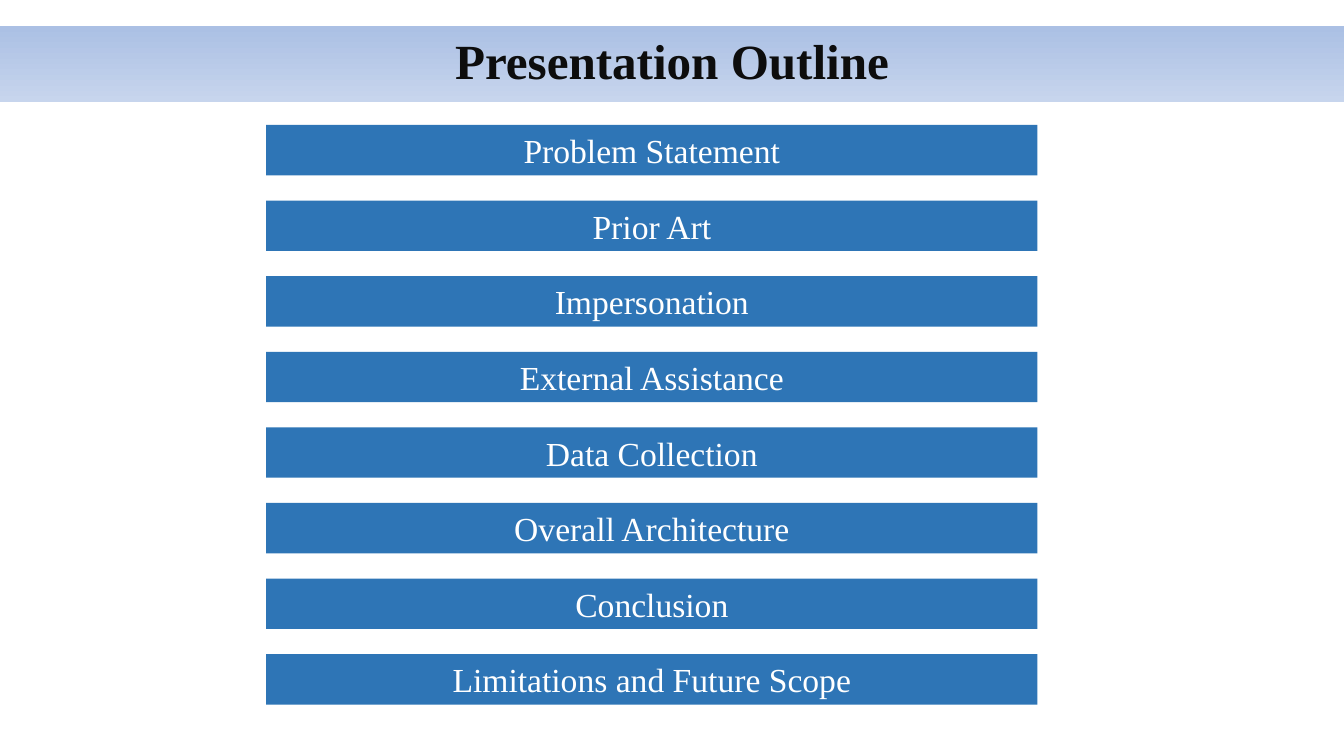
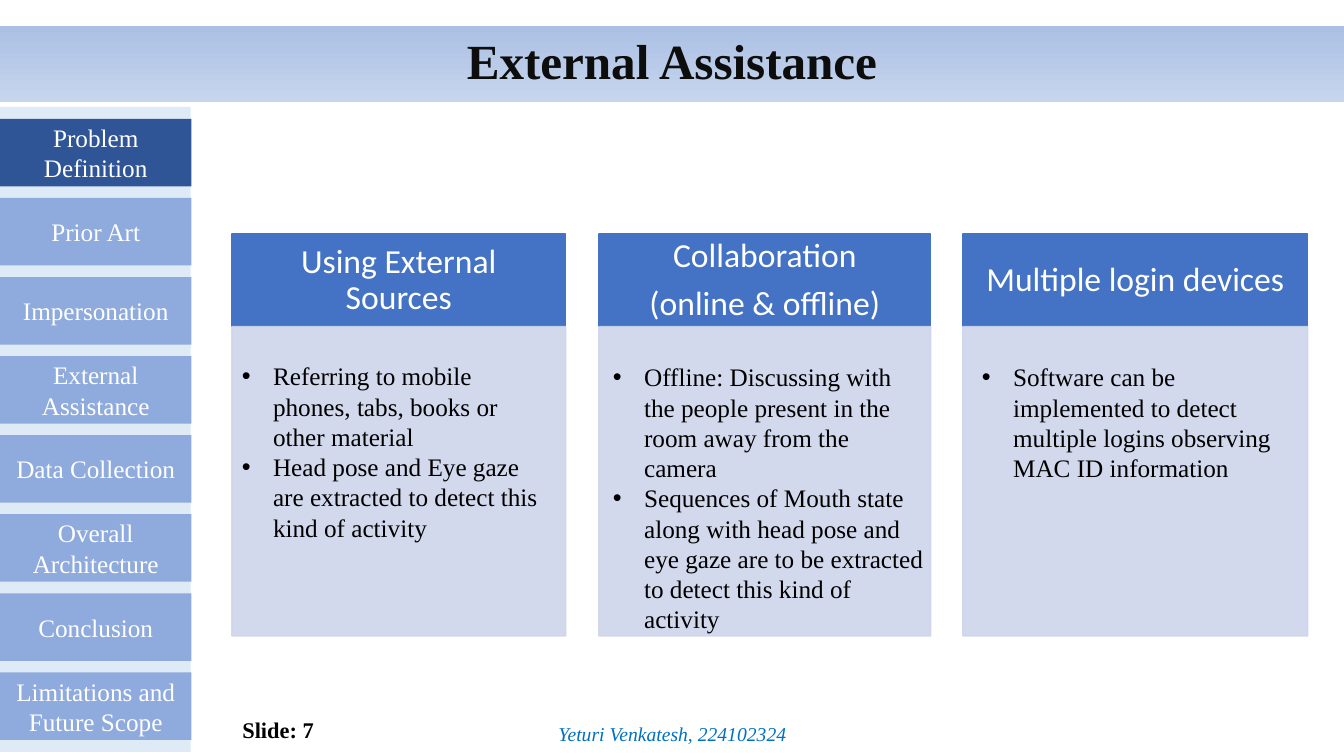
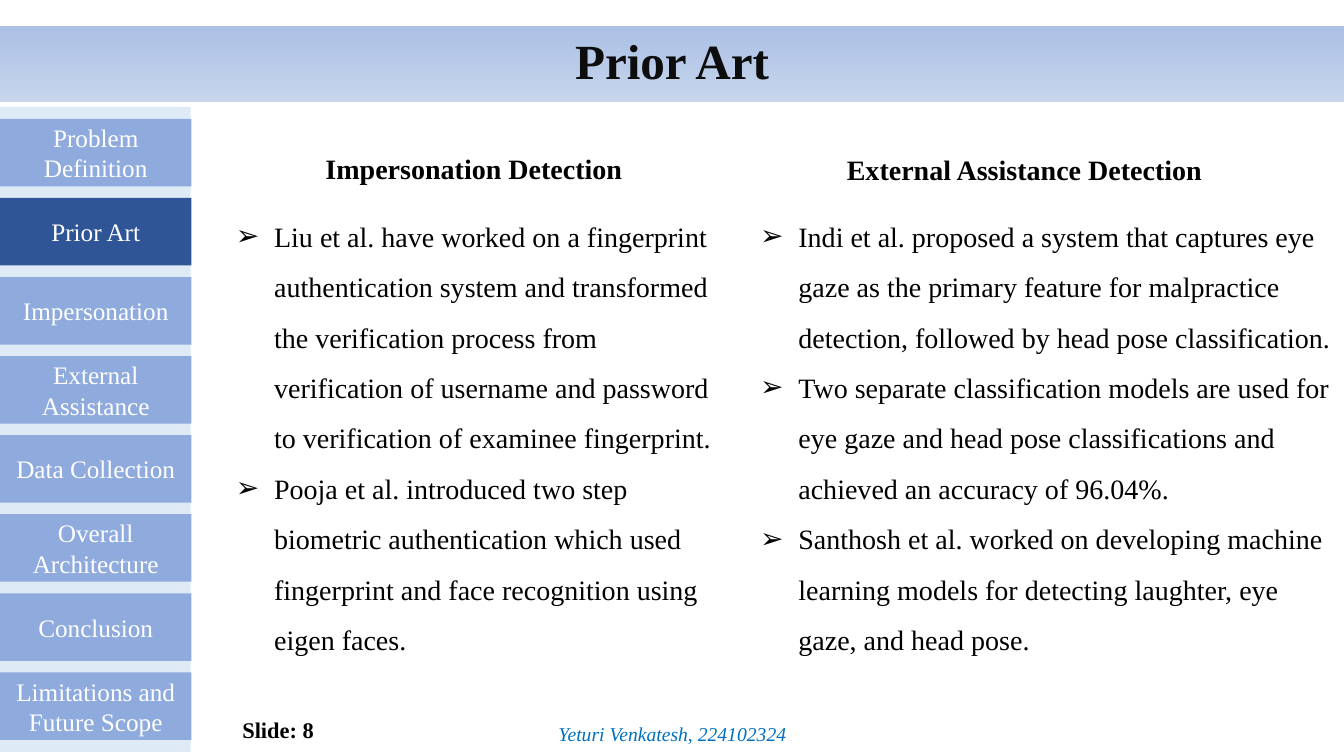
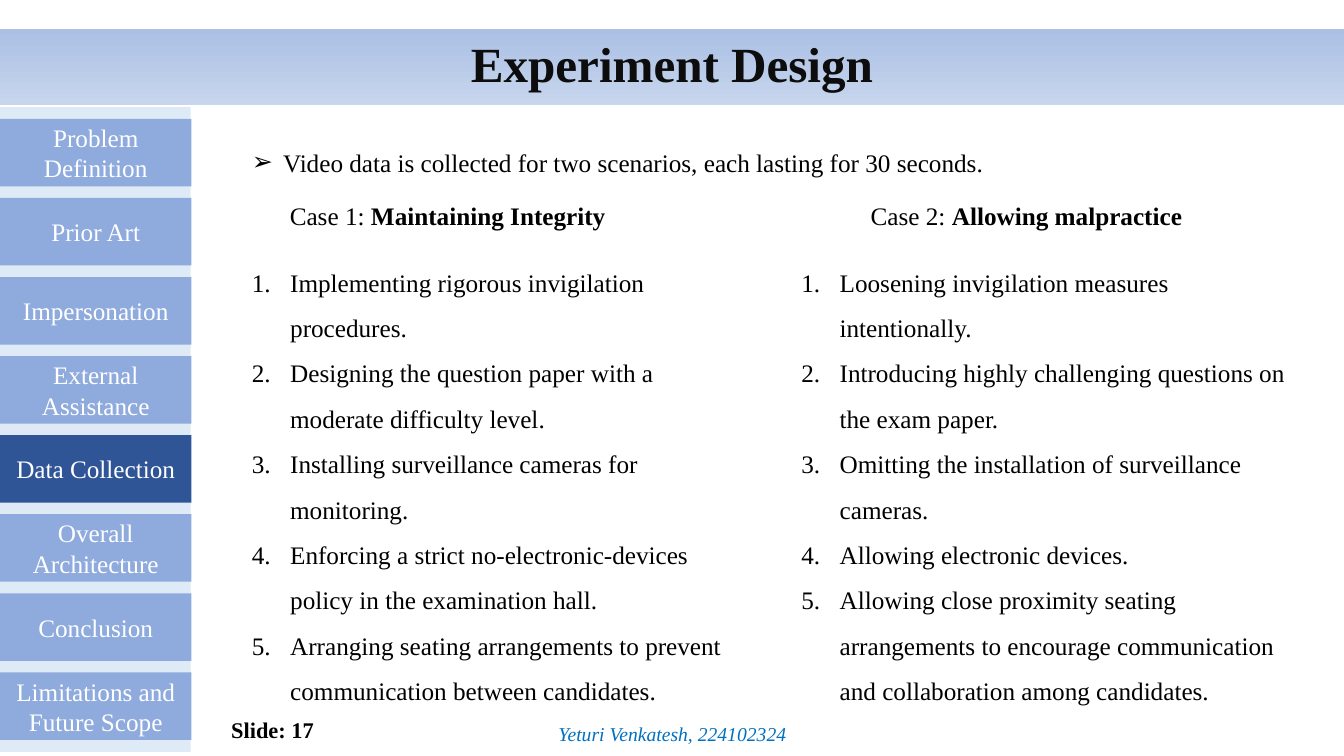
"""Builds four slides on detecting malpractice in online exams."""
import pptx
import pptx.util
import pptx.dml.color
import pptx.enum.shapes
import pptx.enum.text
import pptx.oxml.ns
from lxml import etree

Inches = pptx.util.Inches
Pt = pptx.util.Pt
RGB = pptx.dml.color.RGBColor.from_string
ALIGN = pptx.enum.text.PP_ALIGN
ANCHOR = pptx.enum.text.MSO_ANCHOR
RECT = pptx.enum.shapes.MSO_SHAPE.RECTANGLE
qn = pptx.oxml.ns.qn

INK = {
    "title": "0D0D0D", "top": "ABC0E4", "base": "C7D5ED",
    "bar": "2E75B6", "rail": "DEEBF7", "tab": "8FAADC", "live": "2F5597",
    "head": "4472C4", "card": "CFD5EA",
    "text": "000000", "white": "FFFFFF", "name": "0070C0",
}
SERIF = "Times New Roman"
TABS = ["Problem Definition", "Prior Art", "Impersonation", "External Assistance",
        "Data Collection", "Overall Architecture", "Conclusion",
        "Limitations and Future Scope"]


def put(slide, place, lines=(), size=18, ink="text", fill=None, align=ALIGN.LEFT,
        anchor=ANCHOR.TOP, bold=False, face=SERIF):
    """Add a text box, or a rectangle when a fill is named."""
    place = [Inches(n) for n in place]
    if fill:
        shape = slide.shapes.add_shape(RECT, *place)
        shape.shadow.inherit = False
        shape.fill.solid()
        shape.fill.fore_color.rgb = RGB(INK[fill])
        shape.line.fill.background()
    else:
        shape = slide.shapes.add_textbox(*place)
    frame = shape.text_frame
    frame.word_wrap = True
    frame.vertical_anchor = anchor
    frame.text = "\n".join(lines)
    for para in frame.paragraphs:
        para.alignment = align
        for run in para.runs:
            run.font.name = face
            run.font.size = Pt(size)
            run.font.bold = bold
            run.font.color.rgb = RGB(INK[ink])
    return shape


def mark(shape, sign, indent, space=1.0):
    """Give every paragraph a bullet sign, or a number when there is no sign."""
    for para in shape.text_frame.paragraphs:
        para.line_spacing = space
        props = para._p.get_or_add_pPr()
        props.set("marL", str(Inches(indent)))
        props.set("indent", str(-Inches(indent)))
        if sign:
            etree.SubElement(props, qn("a:buFont")).set("typeface", "Arial")
            etree.SubElement(props, qn("a:buChar")).set("char", sign)
        else:
            etree.SubElement(props, qn("a:buAutoNum")).set("type", "arabicPeriod")


deck = pptx.Presentation()
deck.slide_width = Inches(13.33)
deck.slide_height = Inches(7.5)

slides = []
for title, top, tab, page in [
    ("Presentation Outline", 0.26, None, None),
    ("External Assistance", 0.26, "Problem Definition", 7),
    ("Prior Art", 0.26, "Prior Art", 8),
    ("Experiment Design", 0.29, "Data Collection", 17),
]:
    slide = deck.slides.add_slide(deck.slide_layouts[5])
    slides.append(slide)
    band = slide.shapes.title
    band.left, band.top = Inches(0), Inches(top)
    band.width, band.height = Inches(13.33), Inches(0.75)
    band.fill.gradient()
    band.fill.gradient_angle = 270
    for stop, key, spot in zip(band.fill.gradient_stops, ("top", "base"), (0, 1)):
        stop.color.rgb = RGB(INK[key])
        stop.position = spot
    frame = band.text_frame
    frame.text = title
    frame.auto_size = pptx.enum.text.MSO_AUTO_SIZE.NONE
    frame.vertical_anchor = ANCHOR.MIDDLE
    para = frame.paragraphs[0]
    para.alignment = ALIGN.CENTER
    para.line_spacing = 0.9
    font = para.runs[0].font
    font.name, font.size, font.bold = SERIF, Pt(35.1), True
    font.color.rgb = RGB(INK["title"])
    if not page:
        continue

    put(slide, (0, 1.06, 1.89, 6.4), fill="rail")
    step = (6.67 - 1.18) / (len(TABS) - 1)
    for i, label in enumerate(TABS):
        put(slide, (0, 1.18 + i * step, 1.9, 0.67), [label], ink="white",
            fill="live" if label == tab else "tab",
            align=ALIGN.CENTER, anchor=ANCHOR.MIDDLE)
    put(slide, (2.02, 7.02, 1.19, 0.43), [f"Slide: {page}"], 16,
        align=ALIGN.RIGHT, anchor=ANCHOR.MIDDLE, bold=True)
    foot = put(slide, (5.41, 7.11, 2.52, 0.34), ["Yeturi Venkatesh, 224102324"],
               14, "name", align=ALIGN.CENTER)
    foot.text_frame.word_wrap = False
    foot.text_frame.paragraphs[0].runs[0].font.italic = True

outline, assist, prior, design = slides

for i, label in enumerate(["Problem Statement"] + TABS[1:]):
    put(outline, (2.64, 1.24 + i * 0.75, 7.65, 0.5), [label], 24, "white", "bar",
        ALIGN.CENTER, ANCHOR.MIDDLE)

for left, width, start, top, head, points in [
    (2.3, 3.31, 2.3, 3.53, ["Using External Sources"],
     ["Referring to mobile phones, tabs, books or other material",
      "Head pose and Eye gaze are extracted to detect this kind of activity"]),
    (5.94, 3.29, 5.98, 3.54, ["Collaboration", "(online & offline)"],
     ["Offline: Discussing with the people present in the room away from the camera",
      "Sequences of Mouth state along with head pose and eye gaze are to be "
      "extracted to detect this kind of activity"]),
    (9.55, 3.42, 9.64, 3.54, ["Multiple login devices"],
     ["Software can be implemented to detect multiple logins observing "
      "MAC ID information"]),
]:
    cap = put(assist, (left, 2.32, width, 0.92), head, 24, "white", "head",
              ALIGN.CENTER, ANCHOR.MIDDLE, face="Calibri")
    frame = cap.text_frame
    frame.margin_left = frame.margin_right = Inches(0.19)
    frame.margin_top = frame.margin_bottom = Inches(0.11)
    for para in frame.paragraphs:
        para.line_spacing = 0.9
        para.space_after = Pt(8.4)
    card = put(assist, (left, 3.24, width, 3.07), fill="card")
    for shape, key in [(cap, "head"), (card, "card")]:
        shape.line.color.rgb = RGB(INK[key])
        shape.line.width = Pt(1)
    for tint in card._element.spPr.iter(qn("a:srgbClr")):
        etree.SubElement(tint, qn("a:alpha")).set("val", "90000")
    mark(put(assist, (start, top, 3.31, 2.8), points), "•", 0.31)

for left, width, start, span, top, head, points in [
    (2.24, 5.08, 3.13, 3.54, 1.45, "Impersonation Detection",
     ["Liu et al. have worked on a fingerprint authentication system and "
      "transformed the verification process from verification of username and "
      "password to verification of examinee fingerprint.",
      "Pooja et al. introduced two step biometric authentication which used "
      "fingerprint and face recognition using eigen faces."]),
    (7.44, 5.89, 8.3, 3.81, 1.46, "External Assistance Detection",
     ["Indi et al. proposed a system that captures eye gaze as the primary feature "
      "for malpractice detection, followed by head pose classification.",
      "Two separate classification models are used for eye gaze and head pose "
      "classifications and achieved an accuracy of 96.04%.",
      "Santhosh et al. worked on developing machine learning models for detecting "
      "laughter, eye gaze, and head pose."]),
]:
    put(prior, (start, top, span, 0.44), [head], 20, bold=True)
    mark(put(prior, (left, 1.96, width, 4.58), points, 20), "➢", 0.38, 1.5)

lead = put(design, (2.4, 1.41, 9.76, 0.4),
           ["Video data is collected for two scenarios, each lasting for 30 seconds."])
mark(lead, "➢", 0.31)
for left, start, case, name, points in [
    (2.4, 2.4, "Case 1: ", "Maintaining Integrity",
     ["Implementing rigorous invigilation procedures.",
      "Designing the question paper with a moderate difficulty level.",
      "Installing surveillance cameras for monitoring.",
      "Enforcing a strict no-electronic-devices policy in the examination hall.",
      "Arranging seating arrangements to prevent communication between candidates."]),
    (7.85, 8.14, "Case 2: ", "Allowing malpractice",
     ["Loosening invigilation measures intentionally.",
      "Introducing highly challenging questions on the exam paper.",
      "Omitting the installation of surveillance cameras.",
      "Allowing electronic devices.",
      "Allowing close proximity seating arrangements to encourage communication "
      "and collaboration among candidates."]),
]:
    head = put(design, (start, 1.94, 4.08, 0.4), [case], align=ALIGN.CENTER)
    run = head.text_frame.paragraphs[0].add_run()
    run.text = name
    run.font.name, run.font.size, run.font.bold = SERIF, Pt(18), True
    run.font.color.rgb = RGB(INK["text"])
    mark(put(design, (left, 2.45, 5.03, 4.59), points), None, 0.38, 1.5)

deck.save("out.pptx")
